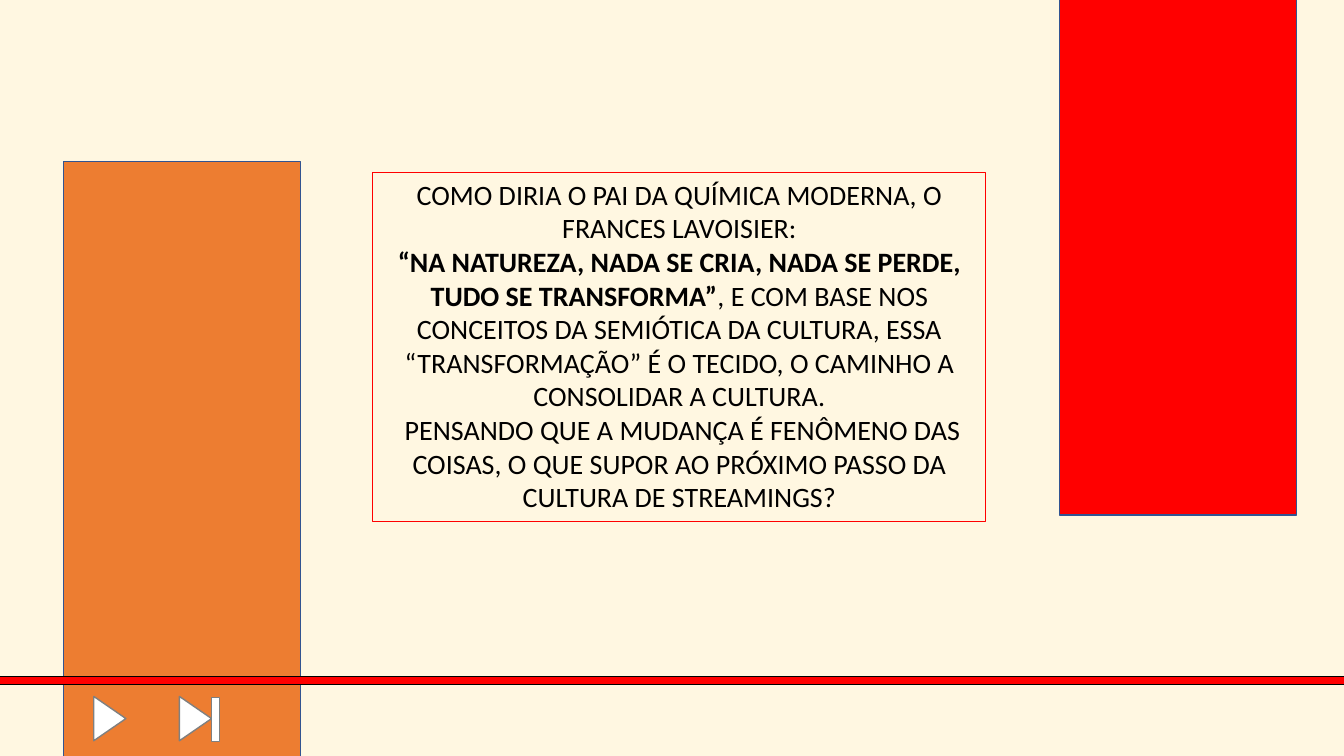
from pptx import Presentation
from pptx.dml.color import RGBColor
from pptx.enum import shapes, text
from pptx.util import Pt

CREAM = RGBColor(0xFF, 0xF7, 0xE1)
ORANGE = RGBColor(0xED, 0x7D, 0x31)
RED = RGBColor(0xFF, 0x00, 0x00)
BLUE = RGBColor(0x32, 0x54, 0x91)
GRAY = RGBColor(0x80, 0x80, 0x80)
WHITE = RGBColor(0xFF, 0xFF, 0xFF)
BLACK = RGBColor(0x00, 0x00, 0x00)

WIDTH, HEIGHT = 960, 540
FONT, FONT_SIZE = "Calibri", 20

QUOTE_LINES = [
    [("COMO DIRIA O PAI DA QUÍMICA MODERNA, O FRANCES LAVOISIER:", False)],
    [
        ("“NA NATUREZA, NADA SE CRIA, NADA SE PERDE, TUDO SE TRANSFORMA”", True),
        (", E COM BASE NOS CONCEITOS DA SEMIÓTICA DA CULTURA, ESSA "
         "“TRANSFORMAÇÃO” É O TECIDO, O CAMINHO A CONSOLIDAR A CULTURA.", False),
    ],
    [(" PENSANDO QUE A MUDANÇA É FENÔMENO DAS COISAS, O QUE SUPOR AO "
      "PRÓXIMO PASSO DA CULTURA DE STREAMINGS?", False)],
]
QUOTE_BOX = (266.4, 123.1, 437.8, 249.8)

PANEL_SIZE = (169.2, 433.4)
PANELS = [((45.4, 115.2), ORANGE), ((756.7, -65.5), RED)]
PROGRESS_BAR = (-3.6, 483.1, 967.7, 5.8)

PLAY_SIZE = (31.7, 23)
PLAY_LEFTS = [62.6, 123.8]
PLAY_TOP = 501.8
SKIP_BAR = (151.2, 498.2, 5.8, 31.7)


def add_block(slide, kind, box, fill, line):
    shape = slide.shapes.add_shape(kind, *map(Pt, box))
    shape.shadow.inherit = False
    shape.fill.solid()
    shape.fill.fore_color.rgb = fill
    shape.line.color.rgb = line
    shape.line.width = Pt(1)
    return shape


def add_quote(slide):
    shape = slide.shapes.add_textbox(*map(Pt, QUOTE_BOX))
    shape.line.color.rgb = RED
    shape.line.width = Pt(0.75)
    frame = shape.text_frame
    frame.word_wrap = True
    frame.auto_size = text.MSO_AUTO_SIZE.SHAPE_TO_FIT_TEXT
    paragraph = frame.paragraphs[0]
    paragraph.alignment = text.PP_ALIGN.CENTER
    paragraph.font.size = Pt(FONT_SIZE)
    for number, line in enumerate(QUOTE_LINES):
        if number:
            paragraph.add_line_break()
        for words, bold in line:
            run = paragraph.add_run()
            run.text = words
            run.font.name = FONT
            run.font.size = Pt(FONT_SIZE)
            run.font.bold = bold
            run.font.color.rgb = BLACK


def main():
    presentation = Presentation()
    presentation.slide_width, presentation.slide_height = Pt(WIDTH), Pt(HEIGHT)
    slide = presentation.slides.add_slide(presentation.slide_layouts[6])
    slide.background.fill.solid()
    slide.background.fill.fore_color.rgb = CREAM

    rectangle = shapes.MSO_SHAPE.RECTANGLE
    triangle = shapes.MSO_SHAPE.ISOSCELES_TRIANGLE
    for corner, color in PANELS:
        add_block(slide, rectangle, corner + PANEL_SIZE, color, BLUE)
    add_quote(slide)
    add_block(slide, rectangle, PROGRESS_BAR, RED, BLACK)
    for left in PLAY_LEFTS:
        play = add_block(slide, triangle, (left, PLAY_TOP) + PLAY_SIZE, WHITE, GRAY)
        play.rotation = 90
    add_block(slide, rectangle, SKIP_BAR, WHITE, GRAY)
    presentation.save("out.pptx")


if __name__ == "__main__":
    main()
